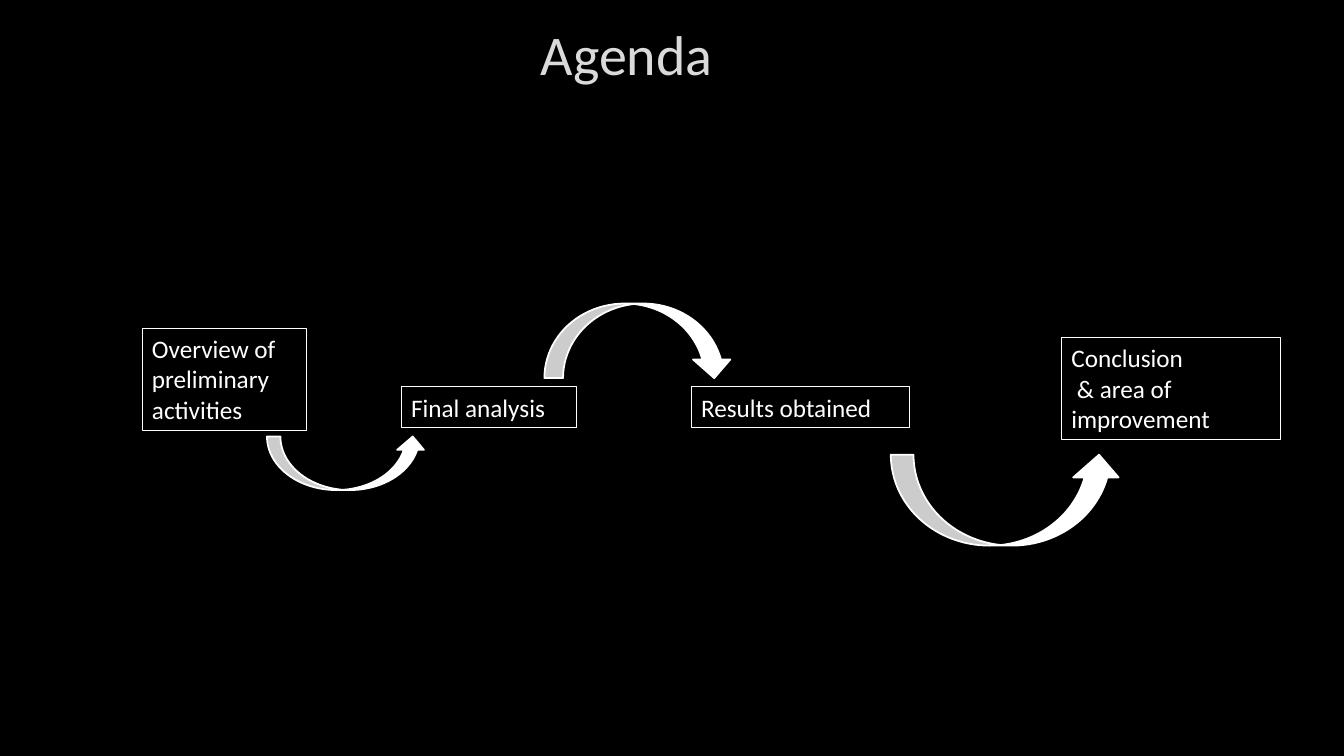
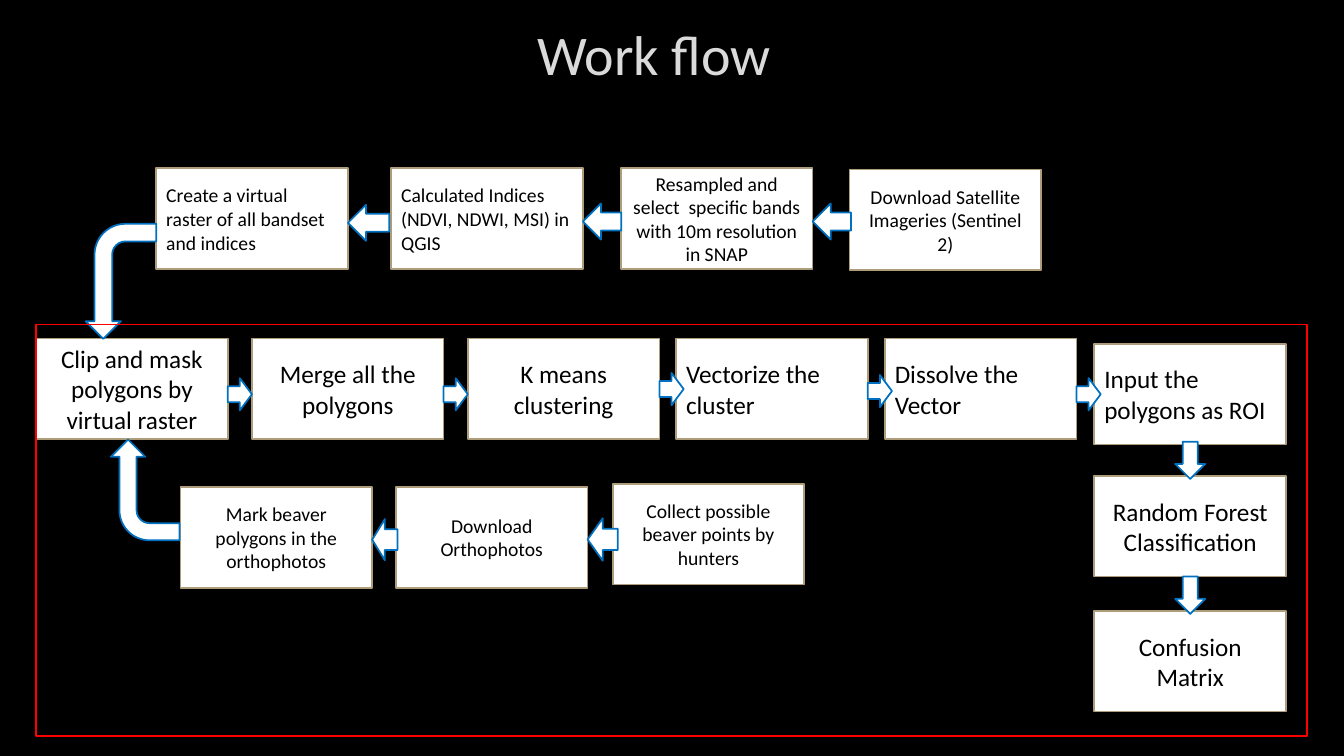
from lxml.etree import SubElement
from pptx import Presentation
from pptx.dml.color import RGBColor
from pptx.enum.shapes import MSO_SHAPE as SHAPE
from pptx.enum.text import MSO_ANCHOR as ANCHOR, PP_ALIGN as ALIGN
from pptx.oxml.ns import qn
from pptx.util import Cm, Pt

FONT = "Calibri"
HUES = {"black": "000000", "white": "FFFFFF", "title": "DADADA", "edge": "404040",
        "tan": "AD9D7B", "blue": "0070C0", "red": "FF0000"}
MID, LEFT = ALIGN.CENTER, ALIGN.LEFT

TOPICS = [
    ((3.58, 8.28, 4.14, 2.57), ["Overview of preliminary activities"]),
    ((10.11, 9.75, 4.42, 1.02), ["Final analysis"]),
    ((17.42, 9.75, 5.51, 1.02), ["Results obtained"]),
    ((26.75, 8.51, 5.51, 2.57), ["Conclusion", "& area of improvement"]),
]
INDENT = 0.14
CURVES = [
    (SHAPE.CURVED_UP_ARROW, (6.73, 11, 4.01, 1.35), None),
    (SHAPE.CURVED_UP_ARROW, (13.72, 7.65, 4.75, 1.88), "flipV"),
    (SHAPE.CURVED_DOWN_ARROW, (22.45, 11.46, 5.82, 2.29), "flipV"),
]

STEP_W, STEP_H = 4.83, 2.54
ROWS = [
    (18, [
        (0.91, 8.53, "Clip and mask polygons by virtual raster", MID),
        (6.35, 8.53, "Merge all the polygons", MID),
        (11.79, 8.53, "K means clustering", MID),
        (17.04, 8.53, "Vectorize the cluster", LEFT),
        (22.3, 8.53, "Dissolve the Vector", LEFT),
        (27.58, 8.66, "Input the polygons as ROI", LEFT),
    ], SHAPE.RIGHT_ARROW, [(9.53, 0.61, 0.81), (9.53, 0.61, 0.81), (9.4, 0.61, 0.81),
                           (9.45, 0.61, 0.81), (9.53, 0.61, 0.81)]),
    (14, [
        (3.94, 4.24, "Create a virtual raster of all bandset and indices", LEFT),
        (9.86, 4.24, "Calculated Indices (NDVI, NDWI, MSI) in QGIS", LEFT),
        (15.65, 4.24, "Resampled and select  specific bands with 10m resolution in SNAP", MID),
        (21.41, 4.27, "Download Satellite Imageries (Sentinel 2)", MID),
    ], SHAPE.LEFT_ARROW, [(5.16, 1.04, 0.91), (5.13, 0.97, 0.91), (5.13, 0.97, 0.91)]),
    (14, [
        (4.55, 12.27, "Mark beaver polygons in the orthophotos", MID),
        (9.98, 12.27, "Download Orthophotos", MID),
        (15.44, 12.19, "Collect possible beaver points by hunters", MID),
    ], SHAPE.LEFT_ARROW, [(13.08, 0.64, 1.04), (13.06, 0.76, 1.07)]),
    (18, [
        (27.58, 11.99, "Random Forest Classification", MID),
        (27.58, 15.39, "Confusion Matrix", MID),
    ], SHAPE.DOWN_ARROW, [(11.13, 0.76, 0.94), (14.53, 0.76, 0.94)]),
]
BENDS = [((1.6, 6.2, 2.9, 1.78), "flipH"), ((2.39, 11.48, 2.54, 1.73), None)]
FRAME = (0.91, 8.18, 32.03, 10.36)


def hue(name):
    return RGBColor.from_string(HUES[name])


def new_slide(deck):
    slide = deck.slides.add_slide(deck.slide_layouts[6])
    fill = slide.background.fill
    fill.solid()
    fill.fore_color.rgb = hue("black")
    return slide


def add_part(slide, kind, place, line, width=1.25, fill="white", flip=None):
    part = slide.shapes.add_shape(kind, *map(Cm, place))
    part.shadow.inherit = False
    if fill:
        part.fill.solid()
        part.fill.fore_color.rgb = hue(fill)
    else:
        part.fill.background()
    part.line.color.rgb = hue(line)
    part.line.width = Pt(width)
    if flip:
        part.element.spPr.xfrm.set(flip, "1")
    return part


def write(part, lines, size, color, align=LEFT, anchor=ANCHOR.MIDDLE):
    frame = part.text_frame
    frame.word_wrap = True
    frame.vertical_anchor = anchor
    for i, line in enumerate(lines):
        para = frame.add_paragraph() if i else frame.paragraphs[0]
        para.alignment = align
        if i:
            para._p.get_or_add_pPr().set("indent", str(Cm(INDENT)))
        run = para.add_run()
        run.text = line
        run.font.name = FONT
        run.font.size = Pt(size)
        run.font.color.rgb = hue(color)
    return run


def add_title(slide, left, text):
    box = slide.shapes.add_textbox(Cm(left), Cm(0), Cm(28.75), Cm(2.69))
    run = write(box, [text], 40, "title", MID)
    props = run._r.get_or_add_rPr()
    edge = SubElement(props, qn("a:ln"), w=str(Pt(0.75)))
    props.insert(0, edge)
    fill = SubElement(edge, qn("a:solidFill"))
    color = SubElement(fill, qn("a:srgbClr"), val=HUES["edge"])
    SubElement(color, qn("a:alpha"), val="10000")


def agenda(deck):
    slide = new_slide(deck)
    add_title(slide, 1.42, "Agenda")
    for place, lines in TOPICS:
        box = add_part(slide, SHAPE.RECTANGLE, place, "white", 0.75, None)
        write(box, lines, 18, "white", anchor=ANCHOR.TOP)
    for kind, place, flip in CURVES:
        add_part(slide, kind, place, "white", flip=flip)


def work_flow(deck):
    slide = new_slide(deck)
    for size, steps, _, _ in ROWS:
        for x, y, text, align in steps:
            box = add_part(slide, SHAPE.RECTANGLE, (x, y, STEP_W, STEP_H), "tan")
            write(box, [text], size, "black", align)
    for _, steps, kind, arrows in ROWS:
        for (x, *_), (y, w, h) in zip(steps, arrows):
            shift = (STEP_W - w) / 2 if kind == SHAPE.DOWN_ARROW else STEP_W
            add_part(slide, kind, (x + shift, y, w, h), "blue")
    for place, flip in BENDS:
        add_part(slide, SHAPE.BENT_ARROW, place, "blue", flip=flip).rotation = 270
    add_title(slide, 2.11, "Work flow")
    add_part(slide, SHAPE.RECTANGLE, FRAME, "red", fill=None)


def main():
    deck = Presentation()
    deck.slide_width, deck.slide_height = Cm(33.87), Cm(19.05)
    agenda(deck)
    work_flow(deck)
    deck.save("out.pptx")


if __name__ == "__main__":
    main()
